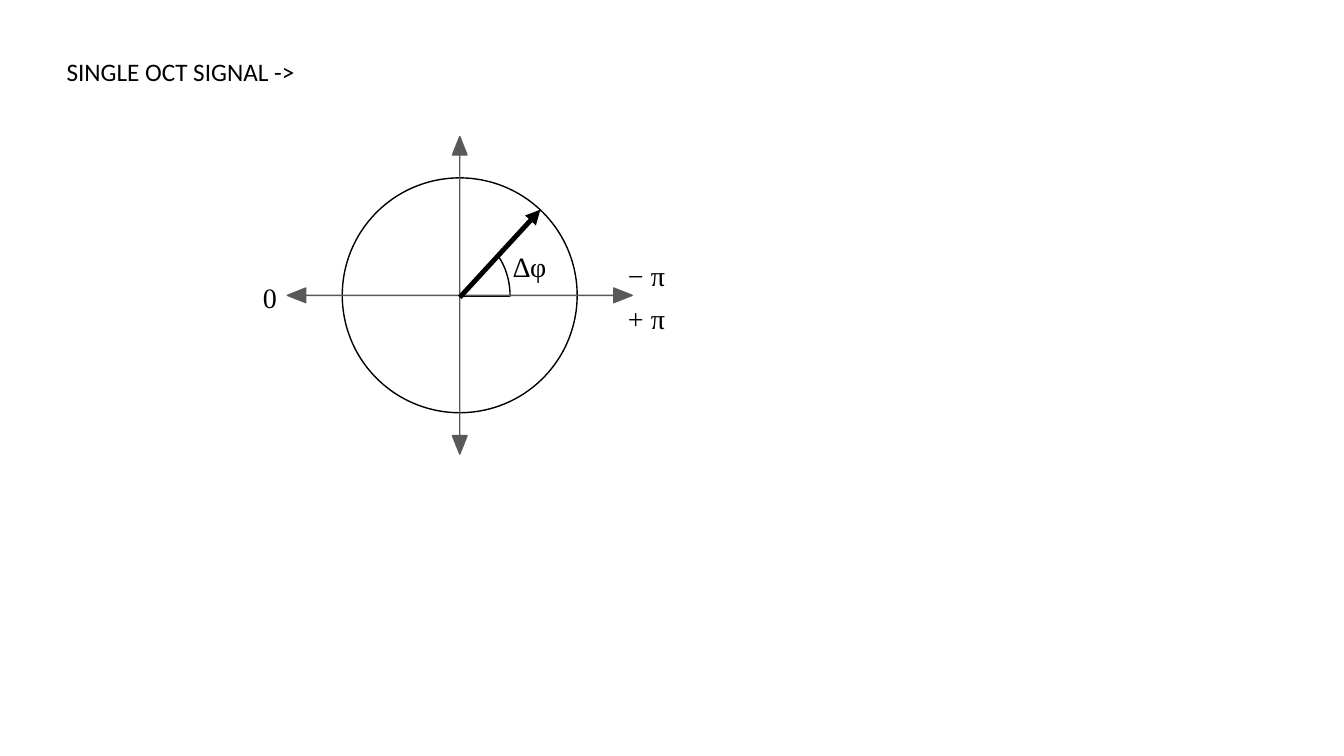
from pptx import Presentation
from pptx.dml.color import RGBColor
from pptx.enum import shapes, text
from pptx.oxml import ns
from pptx.util import Inches, Pt
from lxml import etree

BLACK = RGBColor(0x00, 0x00, 0x00)
WHITE = RGBColor(0xFF, 0xFF, 0xFF)
GREY = RGBColor(0x59, 0x59, 0x59)


class PhaseSlide:
    """Style and current slide; the diagram parts share one group."""

    title_font, label_font = "Calibri", "Times New Roman"
    title_size, label_size = Pt(18), Pt(20)
    label_height = 0.44

    def __init__(self, prs):
        self.slide = prs.slides.add_slide(prs.slide_layouts[5])
        self.diagram = self.slide.shapes.add_group_shape().shapes

    def set_text(self, frame, words, font, size, wrap):
        frame.text = words
        frame.word_wrap = wrap
        frame.auto_size = text.MSO_AUTO_SIZE.SHAPE_TO_FIT_TEXT
        frame.vertical_anchor = text.MSO_ANCHOR.TOP
        paragraph = frame.paragraphs[0]
        paragraph.alignment = text.PP_ALIGN.LEFT
        paragraph.font.name = font
        paragraph.font.size = size
        paragraph.font.color.rgb = BLACK

    def title(self, words, left, top, width, height):
        heading = self.slide.shapes.title
        heading.left, heading.top = Inches(left), Inches(top)
        heading.width, heading.height = Inches(width), Inches(height)
        self.set_text(heading.text_frame, words, self.title_font, self.title_size, False)

    def label(self, words, left, top, width=0.61):
        box = self.diagram.add_textbox(
            Inches(left), Inches(top), Inches(width), Inches(self.label_height))
        self.set_text(box.text_frame, words, self.label_font, self.label_size, True)

    def outline(self, preset, center, width, height, fill=None, line=BLACK, adjustments=()):
        """Add a preset shape around its centre point."""
        x, y = center
        shape = self.diagram.add_shape(
            preset, Inches(x - width / 2), Inches(y - height / 2),
            Inches(width), Inches(height))
        shape.shadow.inherit = False
        for index, value in enumerate(adjustments):
            shape.adjustments[index] = value
        if fill is None:
            shape.fill.background()
        else:
            shape.fill.solid()
            shape.fill.fore_color.rgb = fill
        shape.line.color.rgb = line
        shape.line.width = Pt(1)

    def arrow(self, start, end, width):
        vector = self.diagram.add_connector(
            shapes.MSO_CONNECTOR.STRAIGHT, *map(Inches, start + end))
        vector.line.color.rgb = BLACK
        vector.line.width = Pt(width)
        properties = vector._element.spPr
        etree.SubElement(properties.find(ns.qn("a:ln")), ns.qn("a:tailEnd"), type="triangle")
        etree.SubElement(properties, ns.qn("a:effectLst"))


def main():
    prs = Presentation()
    prs.slide_width, prs.slide_height = Inches(13.33), Inches(7.5)
    phase = PhaseSlide(prs)
    preset = shapes.MSO_SHAPE
    origin = (4.56, 2.93)

    phase.title("SINGLE OCT SIGNAL ->", 0.56, 0.51, 2.49, 0.4)
    phase.outline(preset.PIE, (4.58, 2.94), 0.96, 1.22, fill=WHITE,
                  adjustments=(186.84, 215.81))
    phase.outline(preset.OVAL, origin, 2.33, 2.33)
    phase.outline(preset.QUAD_ARROW, origin, 3.42, 3.15, fill=GREY, line=GREY,
                  adjustments=(0, 0.023, 0.058))
    phase.label("− π", 6.13, 2.52)
    phase.label("+ π", 6.13, 2.94)
    phase.label("0", 2.51, 2.73)
    phase.arrow((4.56, 2.95), (5.36, 2.08), 3.5)
    phase.label("∆φ", 4.99, 2.43, width=0.66)

    prs.save("out.pptx")


if __name__ == "__main__":
    main()
